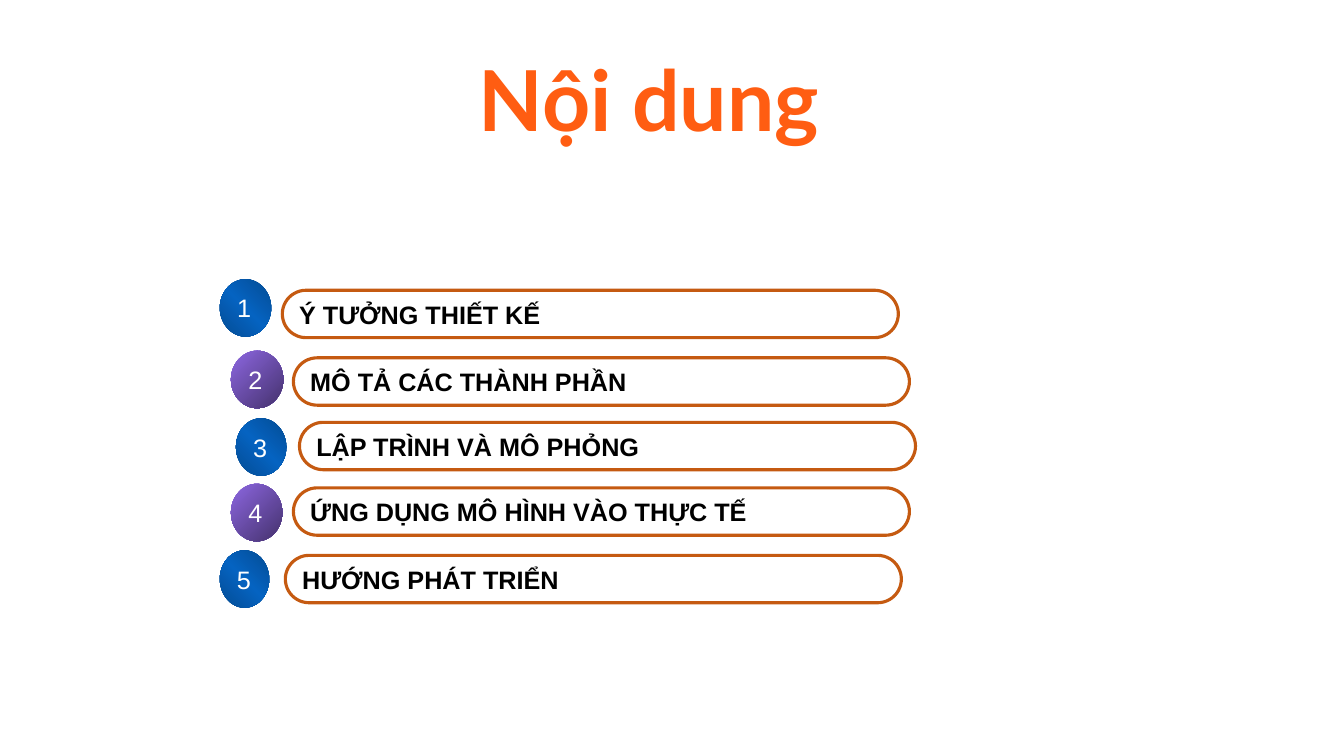
from dataclasses import dataclass

from pptx import Presentation, util as u
from pptx.dml.color import RGBColor
from pptx.enum import shapes as sh, text as tx
from pptx.oxml import parse_xml
from pptx.oxml.ns import nsdecls, qn


@dataclass(frozen=True)
class Theme:
    head: str = "FF5D12"
    edge: str = "C55A11"
    ink: str = "000000"
    pale: str = "FFFFFF"
    blue: tuple = (315, ((0, "044C94"), (50, "0563C1"), (100, "044C94")))
    plum: tuple = (45, ((0, "8D67E1"), (100, "45326D")))
    title: int = 60
    body: int = 18
    line: float = 2.25
    font: str = "Arial"
    show: str = "Lato"


class Deck:
    def __init__(self, theme):
        self.theme = theme
        self.file = Presentation()
        self.file.slide_width = u.Inches(13.33)
        self.file.slide_height = u.Inches(7.5)
        self.slide = self.file.slides.add_slide(self.file.slide_layouts[6])

    def label(self, frame, words, size, color, font, bold=False):
        frame.vertical_anchor = tx.MSO_ANCHOR.MIDDLE
        para = frame.paragraphs[0]
        para.alignment = tx.PP_ALIGN.LEFT
        run = para.add_run()
        run.text = words
        run.font.size = u.Pt(size)
        run.font.name = font
        run.font.bold = bold
        run.font.color.rgb = RGBColor.from_string(color)
        return para

    def shape(self, kind, *box):
        item = self.slide.shapes.add_shape(kind, *map(u.Inches, box))
        item.shadow.inherit = False
        return item

    def title(self, words, *box):
        t = self.theme
        frame = self.slide.shapes.add_textbox(*map(u.Inches, box)).text_frame
        frame.word_wrap = True
        para = self.label(frame, words, t.title, t.head, t.show, True)
        para.line_spacing = 0.9

    def pill(self, words, *box):
        t = self.theme
        item = self.shape(sh.MSO_SHAPE.ROUNDED_RECTANGLE, *box)
        item.adjustments[0] = 0.5
        item.fill.background()
        item.line.color.rgb = RGBColor.from_string(t.edge)
        item.line.width = u.Pt(t.line)
        item.text_frame.word_wrap = False
        self.label(item.text_frame, words, t.body, t.ink, t.font, True)

    def badge(self, words, tint, *box):
        t = self.theme
        item = self.shape(sh.MSO_SHAPE.OVAL, *box)
        item.line.fill.background()
        self.blend(item, *tint)
        item.text_frame.word_wrap = True
        item.text_frame.auto_size = tx.MSO_AUTO_SIZE.SHAPE_TO_FIT_TEXT
        self.label(item.text_frame, words, t.body, t.pale, t.font)

    def blend(self, item, angle, stops):
        marks = "".join(
            f'<a:gs pos="{pos * 1000}"><a:srgbClr val="{color}"/></a:gs>'
            for pos, color in stops)
        grad = parse_xml(
            f'<a:gradFill {nsdecls("a")} rotWithShape="1"><a:gsLst>{marks}</a:gsLst>'
            f'<a:lin ang="{angle * 60000}" scaled="0"/></a:gradFill>')
        item.fill.gradient()
        props = item._element.spPr
        props.replace(props.find(qn("a:gradFill")), grad)


def main():
    theme = Theme()
    deck = Deck(theme)

    # Heading
    deck.title("Nội dung", 4.65, 0.53, 3.81, 1.01)

    # Agenda: words, badge left, top, width, then pill left, top
    rows = (
        ("Ý TƯỞNG THIẾT KẾ", 2.18, 2.77, 0.51, 2.8, 2.88),
        ("MÔ TẢ CÁC THÀNH PHẦN", 2.29, 3.48, 0.52, 2.91, 3.55),
        ("LẬP TRÌNH VÀ MÔ PHỎNG", 2.34, 4.15, 0.5, 2.97, 4.19),
        ("ỨNG DỤNG MÔ HÌNH VÀO THỰC TẾ", 2.29, 4.8, 0.51, 2.91, 4.84),
        ("HƯỚNG PHÁT TRIỂN", 2.18, 5.46, 0.49, 2.83, 5.51),
    )
    for num, (words, left, top, wide, start, high) in enumerate(rows, 1):
        tint = theme.blue if num % 2 else theme.plum
        deck.pill(words, start, high, 6.11, 0.47)
        deck.badge(str(num), tint, left, top, wide, 0.57)

    deck.file.save("out.pptx")


if __name__ == "__main__":
    main()
